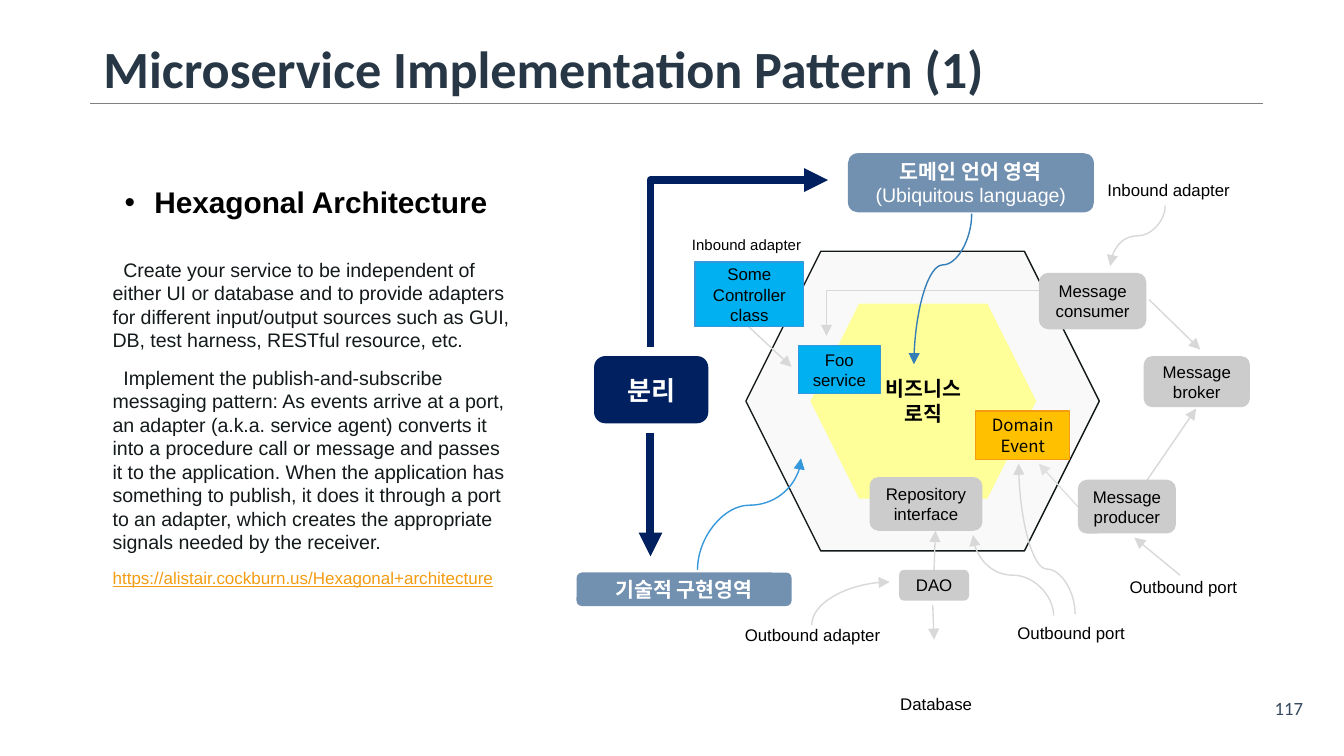
import lxml.etree
import pptx
import pptx.dml.color
import pptx.enum.shapes
import pptx.enum.text
import pptx.oxml.ns
import pptx.util

Inches = pptx.util.Inches
Pt = pptx.util.Pt
RGB = pptx.dml.color.RGBColor
SHAPE = pptx.enum.shapes.MSO_SHAPE
CONNECTOR = pptx.enum.shapes.MSO_CONNECTOR
ALIGN = pptx.enum.text.PP_ALIGN
ANCHOR = pptx.enum.text.MSO_ANCHOR
qn = pptx.oxml.ns.qn

BLACK = RGB(0x00, 0x00, 0x00)
WHITE = RGB(0xFF, 0xFF, 0xFF)
INK = RGB(0x14, 0x1A, 0x1B)
TITLE_INK = RGB(0x27, 0x37, 0x46)
PAGE_INK = RGB(0x34, 0x49, 0x5E)
RULE_GRAY = RGB(0x80, 0x80, 0x80)
SHELL = RGB(0xF9, 0xF9, 0xF9)
CORE_YELLOW = RGB(0xFF, 0xFF, 0x99)
NODE_GRAY = RGB(0xCC, 0xCC, 0xCC)
FLOW_GRAY = RGB(0xD8, 0xD8, 0xD8)
PALE_GRAY = RGB(0xE0, 0xE0, 0xE0)
NAVY = RGB(0x00, 0x20, 0x60)
SLATE = RGB(0x72, 0x90, 0xB0)
CYAN = RGB(0x00, 0xB0, 0xF0)
BLUE = RGB(0x34, 0x98, 0xDB)
DEEP_BLUE = RGB(0x34, 0x7E, 0xB8)
AMBER = RGB(0xFF, 0xC0, 0x00)
ORANGE = RGB(0xF3, 0x9C, 0x12)


def set_font(paragraph, size, color, bold=False, name="Arial"):
    font = paragraph.font
    font.name, font.size, font.bold = name, Pt(size), bold
    font.color.rgb = color


def set_frame(frame, inset_x, inset_y, anchor=ANCHOR.TOP):
    frame.word_wrap = True
    frame.auto_size = pptx.enum.text.MSO_AUTO_SIZE.NONE
    frame.vertical_anchor = anchor
    frame.margin_left = frame.margin_right = Inches(inset_x)
    frame.margin_top = frame.margin_bottom = Inches(inset_y)


def add_text(slide, box, text, size, color=BLACK, align=ALIGN.CENTER,
             bold=False, name="Arial", insets=(0, 0)):
    frame = slide.shapes.add_textbox(*map(Inches, box)).text_frame
    set_frame(frame, *insets)
    frame.text = text
    for paragraph in frame.paragraphs:
        paragraph.alignment = align
        set_font(paragraph, size, color, bold, name)
    return frame


def add_node(slide, kind, box, fill, text="", size=9, color=BLACK,
             bold=False, border=None, name="Arial"):
    node = slide.shapes.add_shape(kind, *map(Inches, box))
    node.shadow.inherit = False
    node.fill.solid()
    node.fill.fore_color.rgb = fill
    if border is None:
        node.line.fill.background()
    else:
        node.line.color.rgb = border
        node.line.width = Pt(0.75)
    if kind == SHAPE.HEXAGON:
        node.adjustments[0] = 0.25
    set_frame(node.text_frame, 0, 0, ANCHOR.MIDDLE)
    if text:
        node.text_frame.text = text
        for paragraph in node.text_frame.paragraphs:
            paragraph.alignment = ALIGN.CENTER
            set_font(paragraph, size, color, bold, name)
    return node


def add_line(slide, ends, color, width=0.75, kind=CONNECTOR.STRAIGHT, arrow=True):
    line = slide.shapes.add_connector(kind, *map(Inches, ends))
    line.line.color.rgb = color
    line.line.width = Pt(width)
    properties = line.element.spPr
    if arrow:
        tail = lxml.etree.SubElement(properties.find(qn("a:ln")), qn("a:tailEnd"))
        tail.set("type", "triangle")
    lxml.etree.SubElement(properties, qn("a:effectLst"))
    return line


def set_geometry(line, preset, bend=None):
    geometry = line.element.spPr.find(qn("a:prstGeom"))
    geometry.set("prst", preset)
    if bend is not None:
        guide = lxml.etree.SubElement(geometry.find(qn("a:avLst")), qn("a:gd"))
        guide.set("name", "adj1")
        guide.set("fmla", f"val {round(bend * 100000)}")


def add_upright_line(slide, ends, color, preset, bend=None, width=0.75):
    x1, y1, x2, y2 = ends
    length, breadth = abs(y2 - y1), abs(x2 - x1)
    left, top = (x1 + x2 - length) / 2, (y1 + y2 - breadth) / 2
    rising, rightward = y2 < y1, x2 > x1
    line = add_line(slide, (left, top, left + length, top + breadth), color, width,
                    CONNECTOR.CURVE)
    set_geometry(line, preset, bend)
    frame = line.element.spPr.find(qn("a:xfrm"))
    frame.set("rot", str((270 if rising and rightward else 90) * 60000))
    if rising and not rightward:
        frame.set("flipH", "1")


def build_title(slide, left, top, width, height):
    title = slide.shapes.title
    title.left, title.top, title.width, title.height = map(
        Inches, (left, top, width, height))
    set_frame(title.text_frame, 0.1, 0.05, ANCHOR.MIDDLE)
    title.text_frame.text = "Microservice Implementation Pattern (1)"
    heading = title.text_frame.paragraphs[0]
    heading.alignment = ALIGN.LEFT
    heading.line_spacing = 0.9
    set_font(heading, 28, TITLE_INK, True, "Calibri")
    bottom = top + height
    add_line(slide, (left, bottom, left + width, bottom), RULE_GRAY, 1, arrow=False)


def build_explanation(slide, left, top, width, height):
    body = add_text(
        slide, (left, top + 0.55, width, height - 0.55),
        "Create your service to be independent of either UI or database and to provide "
        "adapters for different input/output sources such as GUI, DB, test harness, "
        "RESTful resource, etc.\n"
        "Implement the publish-and-subscribe messaging pattern: As events arrive at a "
        "port, an adapter (a.k.a. service agent) converts it into a procedure call or "
        "message and passes it to the application. When the application has something "
        "to publish, it does it through a port to an adapter, which creates the "
        "appropriate signals needed by the receiver.\n"
        "https://alistair.cockburn.us/Hexagonal+architecture",
        10.5, INK, ALIGN.LEFT, insets=(0.1, 0.05))
    for paragraph in body.paragraphs[1:]:
        paragraph.space_before = Pt(7.5)
    for paragraph in body.paragraphs[:2]:
        paragraph._p.get_or_add_pPr().set("indent", str(Inches(0.08)))
    link = body.paragraphs[2]
    set_font(link, 9.1, ORANGE)
    link.font.underline = True

    heading = slide.shapes.add_textbox(
        *map(Inches, (left, top, 3.04, 0.37))).text_frame
    set_frame(heading, 0.1, 0.05)
    heading.text = "Hexagonal Architecture"
    topic = heading.paragraphs[0]
    properties = topic._p.get_or_add_pPr()
    properties.set("marL", str(Inches(0.31)))
    properties.set("indent", str(Inches(-0.22)))
    bullet_color = lxml.etree.SubElement(properties, qn("a:buClr"))
    lxml.etree.SubElement(bullet_color, qn("a:srgbClr")).set("val", str(BLACK))
    lxml.etree.SubElement(properties, qn("a:buFont")).set("typeface", "Arial")
    lxml.etree.SubElement(properties, qn("a:buChar")).set("char", "•")
    set_font(topic, 16, BLACK, True)


def build_diagram(slide, left, top):
    def place(x, y, *size):
        return (left + x, top + y, *size)

    def span(x1, y1, x2, y2):
        return place(x1, y1) + place(x2, y2)

    add_node(slide, SHAPE.HEXAGON, place(1.35, 0.77, 2.63, 2.23), SHELL, border=INK)
    add_node(slide, SHAPE.HEXAGON, place(1.83, 1.16, 1.68, 1.45), CORE_YELLOW,
             "비즈니스\n로직", 11, bold=True)

    add_line(slide, span(3.82, 2.67, 3.53, 2.35), PALE_GRAY)
    for ends in (
        (4.35, 1.13, 4.73, 1.5), (4.33, 2.48, 4.7, 1.94), (1.37, 1.33, 1.69, 1.63),
        (2.75, 3.14, 2.76, 2.85), (2.74, 3.4, 2.75, 3.66), (4.58, 3.18, 4.24, 2.9),
    ):
        add_line(slide, span(*ends), FLOW_GRAY)
    consumer_to_service = add_line(slide, span(3.53, 1.06, 1.95, 1.4), FLOW_GRAY,
                                   kind=CONNECTOR.ELBOW)
    set_geometry(consumer_to_service, "bentConnector2")
    for ends, color, bend in (
        ((3.64, 3.48, 3.04, 2.88), FLOW_GRAY, 0.5),
        ((3.8, 3.47, 3.38, 2.35), FLOW_GRAY, 0.3),
        ((4.47, 0.43, 4.06, 0.88), FLOW_GRAY, 0.5),
        ((3.03, 0.49, 2.6, 1.61), DEEP_BLUE, 0.34),
        ((0.99, 3.14, 1.76, 2.31), BLUE, 0.58),
    ):
        add_upright_line(slide, span(*ends), color, "curvedConnector3", bend)
    add_upright_line(slide, span(1.84, 3.55, 2.42, 3.23), FLOW_GRAY, "curvedConnector2")
    add_upright_line(slide, span(0.64, 1.48, 1.96, 0.24), NAVY, "bentConnector2",
                     width=4.25)
    add_line(slide, span(0.64, 2.12, 0.64, 3.04), NAVY, 4.25)

    for text, box in (
        ("DAO", (2.49, 3.14, 0.52, 0.23)),
        ("Repository\ninterface", (2.27, 2.45, 0.84, 0.4)),
        ("Message broker", (4.31, 1.55, 0.79, 0.38)),
        ("Message\nconsumer", (3.53, 0.93, 0.8, 0.42)),
        ("Message\nproducer", (3.82, 2.47, 0.73, 0.4)),
    ):
        add_node(slide, SHAPE.ROUNDED_RECTANGLE, place(*box), NODE_GRAY, text)
    for text, box, fill, border, name in (
        ("Domain Event", (3.06, 1.96, 0.7, 0.36), AMBER, ORANGE, "Noto Sans CJK KR"),
        ("Some\nController\nclass", (0.97, 0.85, 0.81, 0.48), CYAN, BLUE, "Arial"),
        ("Foo\nservice", (1.74, 1.47, 0.61, 0.36), CYAN, BLUE, "Arial"),
    ):
        add_node(slide, SHAPE.RECTANGLE, place(*box), fill, text, border=border, name=name)
    areas = [
        add_node(slide, SHAPE.ROUNDED_RECTANGLE, place(*box), fill, text, size, WHITE, True)
        for text, box, fill, size in (
            ("도메인 언어 영역\n(Ubiquitous language)", (2.11, 0.04, 1.83, 0.44), SLATE, 11),
            ("분리", (0.22, 1.55, 0.85, 0.5), NAVY, 14),
            ("기술적 구현영역", (0.09, 3.16, 1.6, 0.25), SLATE, 11),
        )
    ]
    set_font(areas[0].text_frame.paragraphs[1], 10.5, WHITE)

    for text, box, size, align in (
        ("Inbound adapter", (0.85, 0.65, 1.01, 0.13), 8, ALIGN.CENTER),
        ("Inbound adapter", (4.04, 0.24, 1, 0.15), 9, ALIGN.LEFT),
        ("Outbound port", (4.13, 3.19, 0.95, 0.15), 9, ALIGN.CENTER),
        ("Outbound port", (3.3, 3.53, 0.94, 0.15), 9, ALIGN.CENTER),
        ("Database", (2.49, 4.06, 0.55, 0.15), 9, ALIGN.CENTER),
        ("Outbound adapter", (1.29, 3.55, 1.11, 0.15), 9, ALIGN.CENTER),
    ):
        add_text(slide, place(*box), text, size, align=align)


def build_page_number(slide, *box):
    number = add_text(slide, box, "117", 10, PAGE_INK, name="Calibri", insets=(0.15, 0.07))
    number.paragraphs[0].line_spacing = 0.5


def main():
    deck = pptx.Presentation()
    deck.slide_width = Inches(10)
    deck.slide_height = deck.slide_width * 9 // 16
    slide = deck.slides.add_slide(deck.slide_layouts[5])
    build_title(slide, 0.67, 0.3, 8.73, 0.47)
    build_diagram(slide, 4.2, 1.1)
    build_explanation(slide, 0.74, 1.32, 3.17, 3.82)
    build_page_number(slide, 9.31, 5.19, 0.56, 0.26)
    deck.save("out.pptx")


if __name__ == "__main__":
    main()
